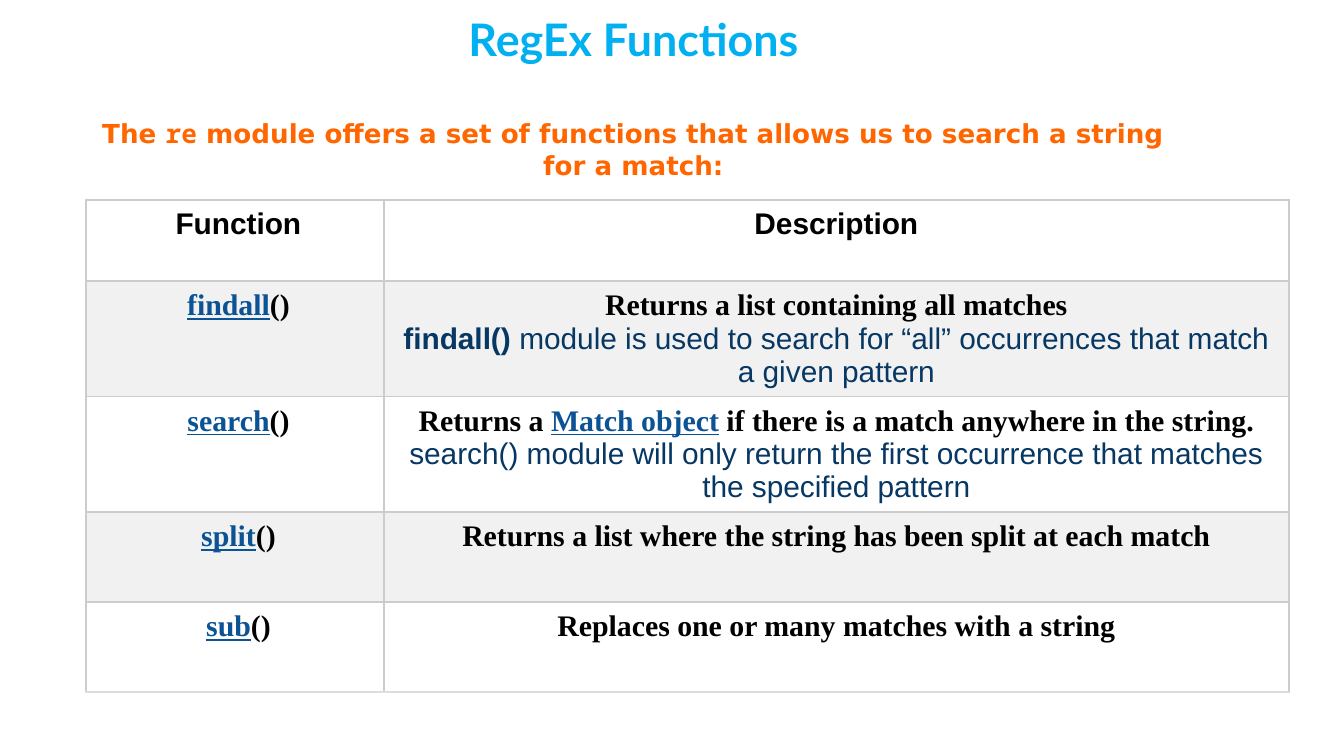
from lxml import etree
from pptx import Presentation
from pptx.dml.color import RGBColor
from pptx.enum.shapes import MSO_SHAPE
from pptx.enum.text import MSO_ANCHOR, PP_ALIGN
from pptx.oxml.ns import qn
from pptx.util import Pt

RECT = MSO_SHAPE.RECTANGLE
MIDDLE = MSO_ANCHOR.MIDDLE
CENTER = PP_ALIGN.CENTER
PX = 914400 / 134.4

# Text formats
SERIF = dict(name="Times New Roman", size=Pt(16), bold=True)
SANS = dict(name="Arial", size=Pt(16))
LEAD = dict(size=Pt(14), bold=True, color="FF6600")
STYLES = {
    "title": dict(name="Lato", size=Pt(24), bold=True, color="00B0F0"),
    "lead": dict(LEAD, name="DejaVu Sans"),
    "mono": dict(LEAD, name="Noto Sans Mono"),
    "head": dict(SANS, bold=True, color="000000"),
    "body": dict(SERIF, color="000000"),
    "link": dict(SERIF, underline=True, color="0B5394"),
    "note": dict(SANS, bold=False, color="073763"),
    "strong": dict(SANS, bold=True, color="073763"),
}

TITLE = [
    [("title", "RegEx Functions")],
    [("lead", "The "), ("mono", "re"),
     ("lead", " module offers a set of functions that allows us to "
              "search a string for a match:")],
]

# Function name and the paragraphs that describe it
FUNCS = [
    ("findall", [
        [("body", "Returns a list containing all matches")],
        [("strong", "findall()"),
         ("note", " module is used to search for “all” occurrences "
                  "that match a given pattern")]]),
    ("search", [
        [("body", "Returns a "), ("link", "Match object"),
         ("body", " if there is a match anywhere in the string.")],
        [("note", "search() module will only return the first occurrence "
                  "that matches the specified pattern")]]),
    ("split", [
        [("body", "Returns a list where the string has been split "
                  "at each match")]]),
    ("sub", [[("body", "Replaces one or many matches with a string")]]),
]
COLS = [298, 905]
ROWS = [81, 90, 87, 90, 90]


def px(num):
    return round(num * PX)


def rgb(code):
    return RGBColor.from_string(code)


def paint(shape, code):
    shape.fill.solid()
    shape.fill.fore_color.rgb = rgb(code)


def write(frame, paras):
    for i, runs in enumerate(paras):
        para = frame.add_paragraph() if i else frame.paragraphs[0]
        para.alignment = CENTER
        for style, text in runs:
            run = para.add_run()
            run.text = text
            for key, value in STYLES[style].items():
                if key == "color":
                    run.font.color.rgb = rgb(value)
                else:
                    setattr(run.font, key, value)


def inset(obj, left, top, right, bottom):
    sides = dict(left=left, top=top, right=right, bottom=bottom)
    for side, num in sides.items():
        setattr(obj, "margin_" + side, px(num))


def border(cell, foot):
    props = cell._tc.get_or_add_tcPr()
    edges = dict(lnL="CCCCCC", lnR="CCCCCC", lnT="CCCCCC", lnB=foot)
    for i, (tag, code) in enumerate(edges.items()):
        line = etree.Element(qn("a:" + tag), w=str(Pt(0.75)))
        fill = etree.SubElement(line, qn("a:solidFill"))
        etree.SubElement(fill, qn("a:srgbClr"), val=code)
        props.insert(i, line)


def add_title(slide, x, y, w, h):
    box = slide.shapes.add_shape(RECT, px(x), px(y), px(w), px(h))
    box.shadow.inherit = False
    paint(box, "FFFFFF")
    box.line.fill.background()
    frame = box.text_frame
    frame.word_wrap = True
    frame.vertical_anchor = MIDDLE
    inset(frame, 0, 9, 0, 9)
    write(frame, TITLE)
    frame.paragraphs[1].space_before = Pt(28)


def add_grid(slide, x, y, w, h):
    rows = [([[("head", "Function")]], [[("head", "Description")]])]
    rows += [([[("link", name), ("body", "()")]], about)
             for name, about in FUNCS]
    grid = slide.shapes.add_table(len(rows), len(COLS),
                                  px(x), px(y), px(w), px(h)).table
    for col, num in zip(grid.columns, COLS):
        col.width = px(num)
    for r, row in enumerate(rows):
        grid.rows[r].height = px(ROWS[r])
        for c, paras in enumerate(row):
            cell = grid.cell(r, c)
            paint(cell, "F1F1F1" if r % 2 else "FFFFFF")
            border(cell, "DDDDDD" if r == len(rows) - 1 else "CCCCCC")
            inset(cell, 8 if c else 15, 8, 8, 8)
            write(cell.text_frame, paras)


def main():
    deck = Presentation()
    deck.slide_width, deck.slide_height = px(1344), px(756)
    slide = deck.slides.add_slide(deck.slide_layouts[6])
    add_grid(slide, 86, 200, sum(COLS), sum(ROWS))
    add_title(slide, 86, 0, 1095, 192)
    deck.save("out.pptx")


if __name__ == "__main__":
    main()
